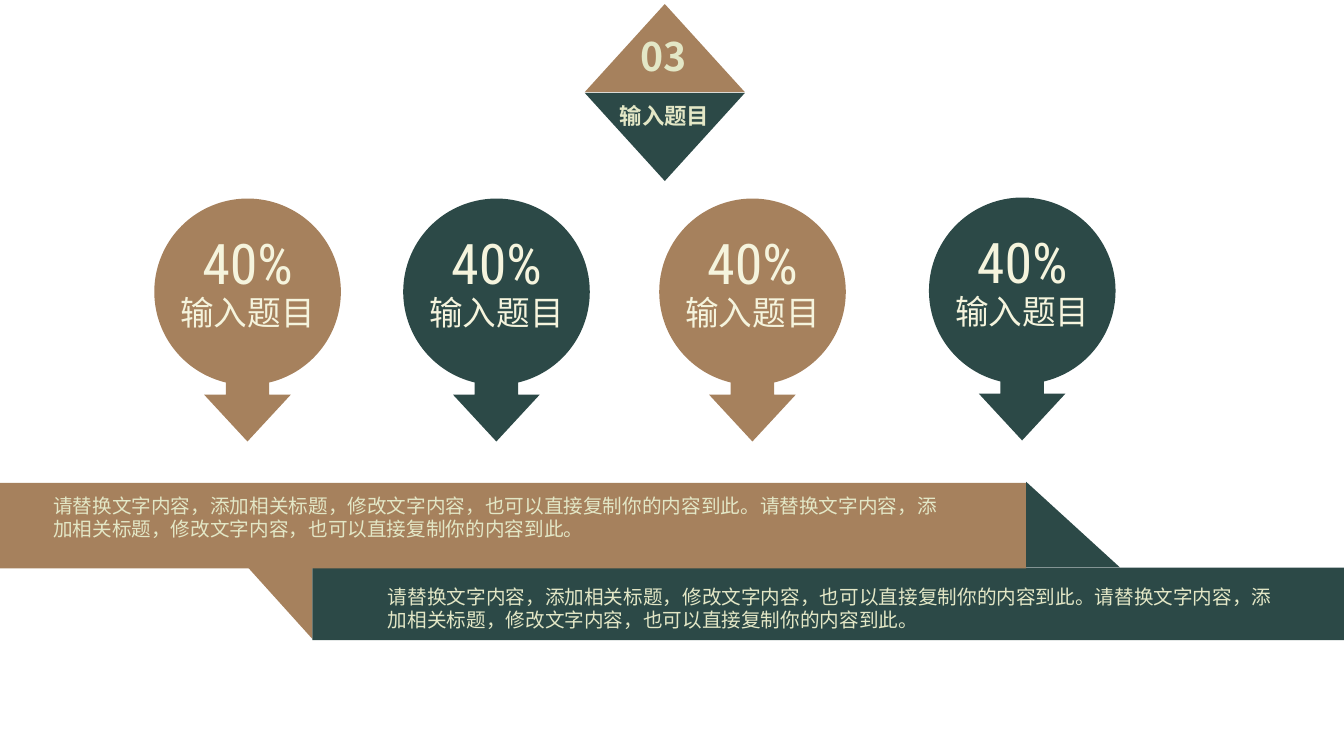
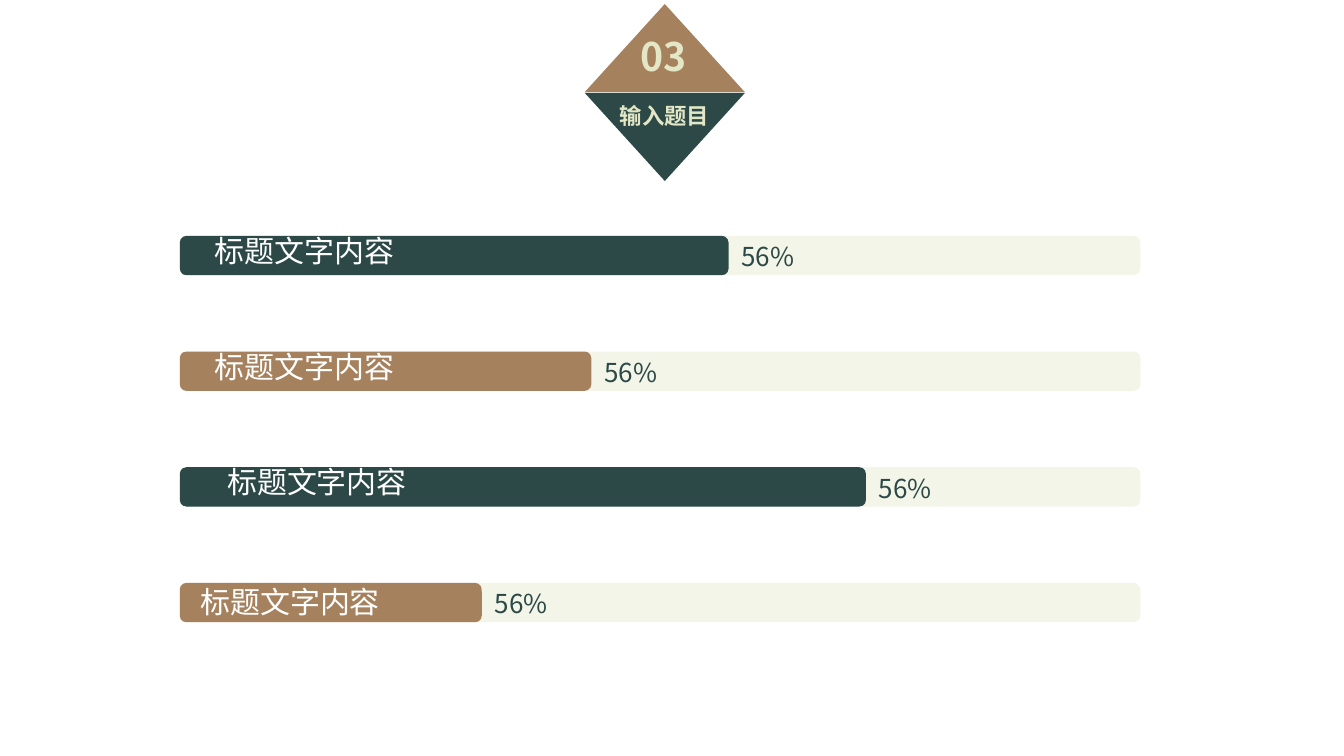
"""Build two infographic slides: percentage pins over a ribbon, and progress bars."""
from dataclasses import dataclass

from lxml.etree import SubElement
from pptx import Presentation
from pptx.dml.color import RGBColor
from pptx.enum.shapes import MSO_SHAPE as Preset
from pptx.enum.text import MSO_ANCHOR as Anchor
from pptx.enum.text import MSO_AUTO_SIZE as AutoSize
from pptx.enum.text import PP_ALIGN as Align
from pptx.oxml.ns import qn
from pptx.shapes.autoshape import Shape
from pptx.shapes.shapetree import GroupShapes
from pptx.slide import Slide
from pptx.text.text import TextFrame
from pptx.util import Inches, Pt

TAN = RGBColor(0xA6, 0x81, 0x5D)
TEAL = RGBColor(0x2C, 0x49, 0x47)
SAGE = RGBColor(0xE3, 0xE7, 0xC6)
CREAM = RGBColor(0xF5, 0xF4, 0xDD)
WHITE = RGBColor(0xFF, 0xFF, 0xFF)

SANS = "Noto Sans CJK SC"
CONDENSED = "Roboto Condensed"

SLIDE_W, SLIDE_H = Inches(13.333), Inches(7.5)
TITLE_ONLY = 5
HEADING = "输入题目"
ADVICE = "请替换文字内容，添加相关标题，修改文字内容，也可以直接复制你的内容到此。" * 2


@dataclass(frozen=True)
class Area:
    """Place and size in percent of the slide's width and height."""

    left: float
    top: float
    width: float
    height: float

    def emu(self) -> tuple[int, int, int, int]:
        """Return left, top, width and height as lengths."""
        return (
            round(SLIDE_W * self.left / 100),
            round(SLIDE_H * self.top / 100),
            round(SLIDE_W * self.width / 100),
            round(SLIDE_H * self.height / 100),
        )


@dataclass(frozen=True)
class Pin:
    """A disc with a downward arrow."""

    left: float
    top: float
    color: RGBColor


@dataclass(frozen=True)
class Bar:
    """A progress bar with the area of its label."""

    width: float
    color: RGBColor
    label_width: float = 18.53
    label_rise: float = 1.1
    spacing: float = 1.0


PINS = (
    Pin(11.48, 26.27, TAN),
    Pin(30, 26.27, TEAL),
    Pin(49.05, 26.27, TAN),
    Pin(69.12, 26.13, TEAL),
)
BARS = (
    Bar(40.83, TEAL),
    Bar(30.62, TAN),
    Bar(51.05, TEAL, label_width=20.4),
    Bar(22.47, TAN, label_width=16.42, label_rise=0, spacing=0.9),
)
TRACK = Area(13.38, 31.2, 71.47, 5.2)
BAR_PITCH = 15.3


def paint(shape: Shape, color: RGBColor) -> Shape:
    """Give a shape a flat fill without line or shadow."""
    shape.shadow.inherit = False
    shape.fill.solid()
    shape.fill.fore_color.rgb = color
    shape.line.fill.background()
    return shape


def draw(shapes: GroupShapes, preset: Preset, area: Area, color: RGBColor) -> Shape:
    """Add a flat preset shape."""
    return paint(shapes.add_shape(preset, *area.emu()), color)


def write(
    frame: TextFrame,
    text: str,
    *,
    size: float,
    color: RGBColor,
    font: str = SANS,
    bold: bool = False,
    align: Align = Align.LEFT,
    wrap: bool = True,
    spacing: float = 1.0,
) -> None:
    """Fill a frame with one formatted paragraph."""
    frame.word_wrap = wrap
    frame.auto_size = AutoSize.SHAPE_TO_FIT_TEXT
    frame.vertical_anchor = Anchor.TOP
    paragraph = frame.paragraphs[0]
    paragraph.alignment = align
    paragraph.line_spacing = spacing
    run = paragraph.add_run()
    run.text = text
    run.font.size = Pt(size)
    run.font.bold = bold
    run.font.color.rgb = color
    run.font.name = font
    SubElement(run._r.get_or_add_rPr(), qn("a:ea"), typeface=font)


def frame_at(shapes: GroupShapes, area: Area) -> TextFrame:
    """Add a text box and return its frame."""
    return shapes.add_textbox(*area.emu()).text_frame


def add_badge(slide: Slide) -> None:
    """Draw the section diamond with its number and the slide title."""
    badge = slide.shapes.add_group_shape().shapes
    draw(badge, Preset.ISOSCELES_TRIANGLE, Area(43.5, 0.53, 11.93, 11.67), TAN)
    lower = draw(badge, Preset.ISOSCELES_TRIANGLE, Area(43.5, 12.27, 11.93, 11.67), TEAL)
    lower.rotation = 180
    number = frame_at(badge, Area(46.95, 3.6, 5.18, 7.6))
    write(number, "03", size=28, color=SAGE, bold=True, wrap=False)

    title = slide.shapes.title
    title.left, title.top, title.width, title.height = Area(45.38, 12.8, 8.25, 4.93).emu()
    write(title.text_frame, HEADING, size=16, color=SAGE, bold=True, wrap=False)
    title.element.getparent().append(title.element)


def add_ribbon(slide: Slide) -> None:
    """Draw the two folded bands and their text."""
    left, top, width, height = Area(18.38, 74.93, 4.87, 9.6).emu()
    fold = slide.shapes.build_freeform(left, top)
    fold.add_line_segments([(left + width, top + height), (left + width, top)])
    paint(fold.convert_to_shape(), TAN)
    draw(slide.shapes, Preset.RECTANGLE, Area(23.25, 75.07, 76.75, 9.6), TEAL)
    draw(slide.shapes, Preset.RECTANGLE, Area(0, 63.87, 76.35, 11.33), TAN)
    draw(slide.shapes, Preset.RIGHT_TRIANGLE, Area(76.35, 63.73, 6.98, 11.33), TEAL)
    for left_share, top_share in ((3.22, 64.67), (28.13, 76.67)):
        advice = frame_at(slide.shapes, Area(left_share, top_share, 68.18, 7.6))
        write(advice, ADVICE, size=14, color=SAGE)


def add_pin(slide: Slide, pin: Pin) -> None:
    """Draw a disc, its arrow, figure and label."""
    group = slide.shapes.add_group_shape().shapes
    draw(group, Preset.OVAL, Area(pin.left, pin.top, 13.88, 24.67), pin.color)
    arrow_area = Area(pin.left + 3.71, pin.top + 17.33, 6.45, 14.8)
    arrow = draw(group, Preset.DOWN_ARROW, arrow_area, pin.color)
    arrow.adjustments[0], arrow.adjustments[1] = 0.5, 0.54
    for text, size, drop, height in (("40%", 40, 3.33, 8.13), (HEADING, 24, 11.73, 6.67)):
        caption = frame_at(group, Area(pin.left, pin.top + drop, 13.88, height))
        write(caption, text, size=size, color=CREAM, font=CONDENSED, align=Align.CENTER)


def add_bar(slide: Slide, row: int, bar: Bar) -> None:
    """Draw a translucent track, its bar, label and percentage."""
    top = TRACK.top + row * BAR_PITCH
    group = slide.shapes.add_group_shape().shapes
    track_area = Area(TRACK.left, top, TRACK.width, TRACK.height)
    track = draw(group, Preset.ROUNDED_RECTANGLE, track_area, SAGE)
    tint = next(track.element.iter(qn("a:srgbClr")))
    SubElement(tint, qn("a:alpha"), val="40000")
    bar_area = Area(TRACK.left, top, bar.width, TRACK.height)
    draw(group, Preset.ROUNDED_RECTANGLE, bar_area, bar.color)
    label = frame_at(group, Area(TRACK.left, top - bar.label_rise, bar.label_width, 6.13))
    write(label, "标题文字内容", size=21.4, color=WHITE, font=CONDENSED,
          align=Align.CENTER, spacing=bar.spacing)
    percent = frame_at(group, Area(TRACK.left + bar.width, top, 5.85, 5.6))
    write(percent, "56%", size=18.6, color=TEAL, align=Align.CENTER)


def main() -> None:
    """Build and save the presentation."""
    deck = Presentation()
    deck.slide_width, deck.slide_height = SLIDE_W, SLIDE_H
    layout = deck.slide_layouts[TITLE_ONLY]

    pins_slide = deck.slides.add_slide(layout)
    add_badge(pins_slide)
    add_ribbon(pins_slide)
    for pin in PINS:
        add_pin(pins_slide, pin)

    bars_slide = deck.slides.add_slide(layout)
    add_badge(bars_slide)
    for row, bar in enumerate(BARS):
        add_bar(bars_slide, row, bar)

    deck.save("out.pptx")


if __name__ == "__main__":
    main()
